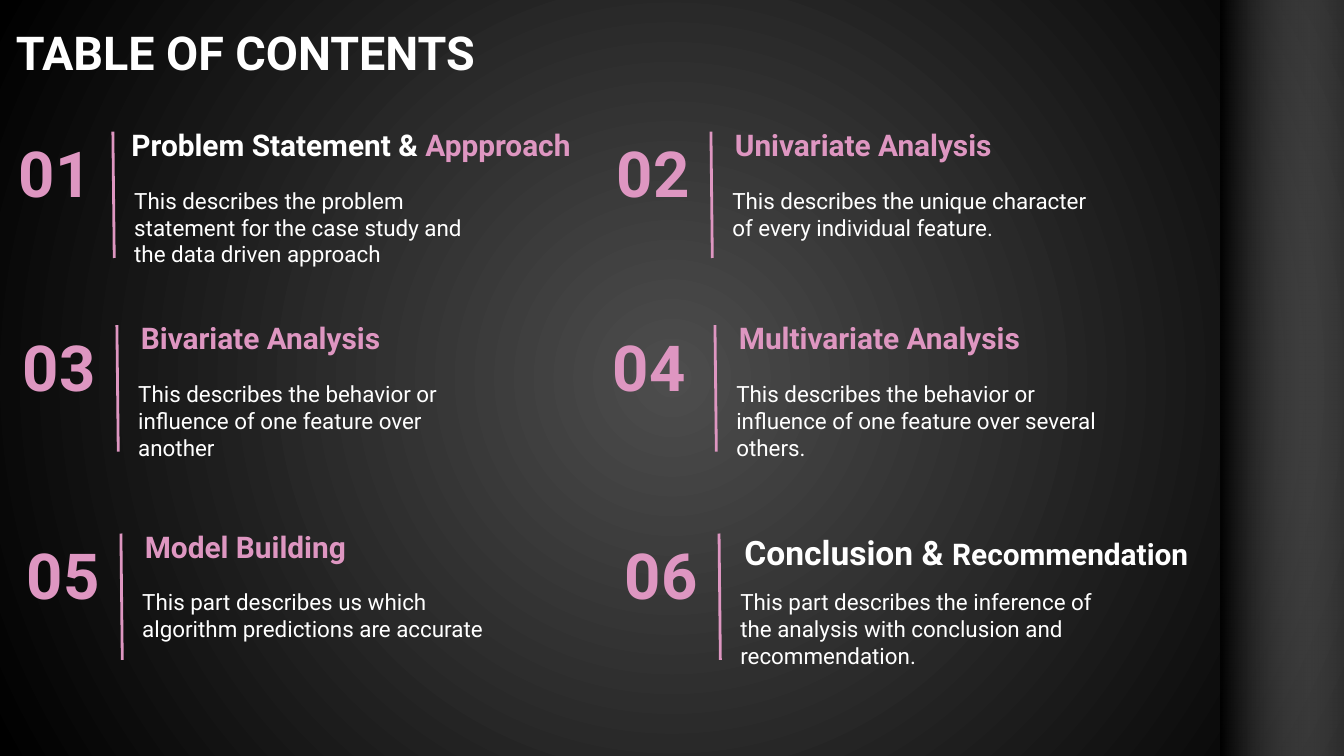
from lxml.etree import SubElement
from pptx import Presentation
from pptx.dml.color import RGBColor
from pptx.enum.shapes import MSO_CONNECTOR, MSO_SHAPE
from pptx.enum.text import MSO_ANCHOR, PP_ALIGN
from pptx.oxml.ns import qn
from pptx.util import Inches, Pt

FONT = "Roboto"
PINK, WHITE, BLACK = "DE96C1", "FFFFFF", "000000"
COLUMN_STEP = 4.45
ROW_TOPS = [0.84, 2.28, 3.83]
RULE_LEFT, ROW_SHIFT = 0.84, 0.03

# heading runs (text, size, colour), body text, body height
ITEMS = [
    ([("Problem Statement & ", 16, WHITE), ("Appproach", 16, PINK)],
     "This describes the problem statement for the case study and the data driven approach", 0.86),
    ([("Univariate Analysis", 16, PINK)],
     "This describes the unique character of every individual feature.", 0.58),
    ([("Bivariate Analysis", 16, PINK)],
     "This describes the behavior or influence of one feature over another", 0.86),
    ([("Multivariate Analysis", 16, PINK)],
     "This describes the behavior or influence of one feature over several others.", 0.86),
    ([("Model Building", 16, PINK)],
     "This part describes us which algorithm predictions are accurate", 0.63),
    ([("Conclusion & ", 18, WHITE), ("Recommendation", 16, WHITE), (" ", 18, WHITE)],
     "This part describes the inference of the analysis with conclusion and recommendation.", 0.86),
]
# item number: heading offset from the rule, offset from the row top, width
WIDE_HEADINGS = {1: (0.04, 0, 3.82), 6: (0.09, 0.03, 3.86)}
# item number: number box offset from the rule, width
WIDE_NUMBERS = {4: (-0.94, 0.9)}


def rgb(color):
    return RGBColor.from_string(color)


def set_stops(fill, colors):
    fill.gradient()
    for stop, color in zip(fill.gradient_stops, colors):
        stop.color.rgb = rgb(color)


def add_background(s):
    """Radial gradient from the slide centre."""
    set_stops(s.background.fill, ["4D4D4D", BLACK])
    grad = next(s._element.iter(qn("a:gradFill")))
    for lin in grad.findall(qn("a:lin")):
        grad.remove(lin)
    circle = SubElement(grad, qn("a:path"), path="circle")
    SubElement(circle, qn("a:fillToRect"), {side: "50000" for side in "ltrb"})


def add_side_band(s):
    """Black on the left, fading to transparent white."""
    sp = s.shapes.add_shape(MSO_SHAPE.RECTANGLE, Inches(9.08), Inches(-0.05),
                            Inches(1.27), Inches(5.73))
    sp.shadow.inherit = False
    sp.line.fill.background()
    set_stops(sp.fill, [BLACK, WHITE])
    sp.fill.gradient_angle = 0
    for color, alpha in zip(sp._element.spPr.iter(qn("a:srgbClr")), ["85000", "0"]):
        SubElement(color, qn("a:alpha"), val=alpha)


def add_text(s, x, y, w, h, runs, bold=True, align=PP_ALIGN.LEFT):
    tf = s.shapes.add_textbox(Inches(x), Inches(y), Inches(w), Inches(h)).text_frame
    tf.word_wrap = True
    tf.vertical_anchor = MSO_ANCHOR.TOP
    tf.margin_left = tf.margin_right = tf.margin_top = tf.margin_bottom = Inches(0.1)
    p = tf.paragraphs[0]
    p.alignment = align
    for text, size, color in runs:
        r = p.add_run()
        r.text = text
        r.font.name = FONT
        r.font.size = Pt(size)
        r.font.bold = bold
        r.font.color.rgb = rgb(color)


def add_rule(s, x, y):
    line = s.shapes.add_connector(MSO_CONNECTOR.STRAIGHT, Inches(x), Inches(y),
                                  Inches(x + 0.01), Inches(y + 0.94))
    line.line.color.rgb = rgb(PINK)
    line.line.width = Pt(1.5)
    SubElement(line._element.spPr, qn("a:effectLst"))


def add_item(s, number, heading, body, body_height):
    row, col = divmod(number - 1, 2)
    x = RULE_LEFT + row * ROW_SHIFT + col * COLUMN_STEP
    y = ROW_TOPS[row]
    dx, dy, width = WIDE_HEADINGS.get(number, (0.08, 0, 2.91))
    add_text(s, x + dx, y + dy, width, 0.45, heading)
    dx, width = WIDE_NUMBERS.get(number, (-0.82, 0.78))
    add_text(s, x + dx, y + 0.06, width, 0.72, [(f"{number:02}", 34, PINK)],
             align=PP_ALIGN.CENTER)
    add_text(s, x + 0.06, y + 0.45, 2.91, body_height, [(body, 12, WHITE)], bold=False)
    add_rule(s, x, y + 0.14)


def main():
    prs = Presentation()
    prs.slide_width = Inches(10)
    prs.slide_height = prs.slide_width * 9 // 16
    s = prs.slides.add_slide(prs.slide_layouts[6])
    add_background(s)
    add_side_band(s)
    add_text(s, 0.02, 0.08, 8.45, 0.63, [("TABLE OF CONTENTS", 25, WHITE)])
    for number, item in enumerate(ITEMS, 1):
        add_item(s, number, *item)
    prs.save("out.pptx")


if __name__ == "__main__":
    main()
